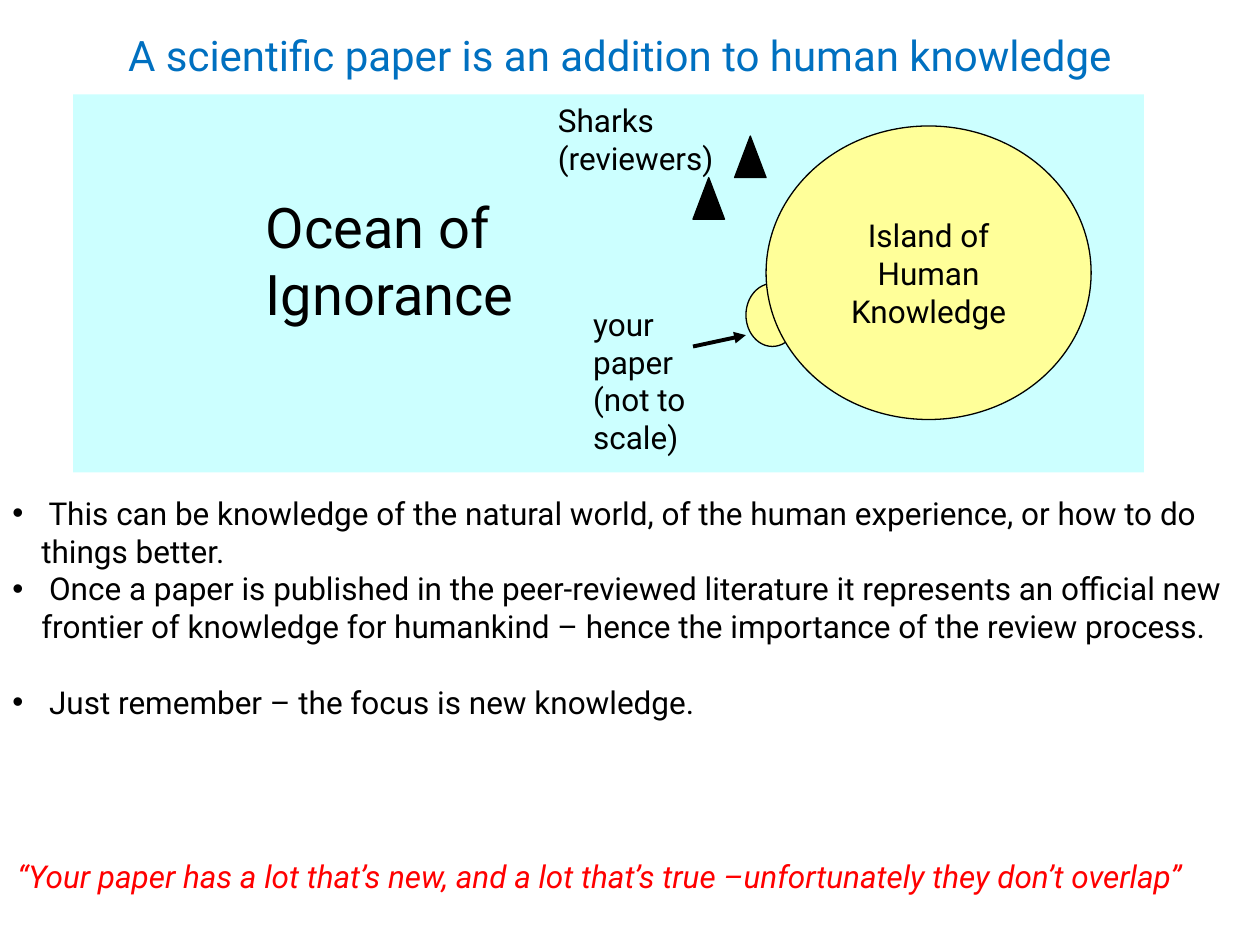
"""Build a slide showing a paper as an addition to the island of human knowledge."""
from lxml import etree
from pptx import Presentation
from pptx.dml.color import RGBColor
from pptx.enum import shapes, text
from pptx.oxml import ns
from pptx.util import Inches, Pt

BLACK = RGBColor(0x00, 0x00, 0x00)
BLUE = RGBColor(0x00, 0x70, 0xC0)
RED = RGBColor(0xFF, 0x00, 0x00)
OCEAN = RGBColor(0xCC, 0xFF, 0xFF)
SAND = RGBColor(0xFF, 0xFF, 0x99)
FONT = "Roboto"
BULLET_INDENT = Inches(0.23)

TITLE = ["A scientific paper is an addition to human knowledge"]
ISLAND = ["Island of", "Human", "Knowledge"]
LABELS = [
    (["Ocean of", "Ignorance"], (2.01, 1.48, 2.19, 1.18), 32, False),
    (["your", "paper", "(not to scale)"], (4.61, 2.37, 1.6, 1.31), 18, True),
    (["Sharks", "(reviewers)"], (4.33, 0.75, 1.45, 0.71), 18, False),
]
POINTS = [
    " This can be knowledge of the natural world, of the human experience, or how to do things better.",
    " Once a paper is published in the peer-reviewed literature it represents an official new "
    "frontier of knowledge for humankind – hence the importance of the review process.",
    " Just remember – the focus is new knowledge.",
]
QUOTE = ["“Your paper has a lot that’s new, and a lot that’s true –unfortunately they don’t overlap”"]
SHARKS = [(5.5, 1.41), (5.83, 1.08)]


def write(shape, lines, size=18, color=BLACK, align=text.PP_ALIGN.LEFT,
          anchor=text.MSO_ANCHOR.TOP, wrap=True, italic=False):
    frame = shape.text_frame
    frame.word_wrap = wrap
    frame.vertical_anchor = anchor
    for index, line in enumerate(lines):
        paragraph = frame.add_paragraph() if index else frame.paragraphs[0]
        paragraph.alignment = align
        run = paragraph.add_run()
        run.text = line
        run.font.name = FONT
        run.font.size = Pt(size)
        run.font.color.rgb = color
        run.font.italic = italic
    return frame


def add_text(slide, box, lines, **style):
    return write(slide.shapes.add_textbox(*map(Inches, box)), lines, **style)


def add_shape(slide, kind, box, fill, outlined=True):
    shape = slide.shapes.add_shape(kind, *map(Inches, box))
    shape.shadow.inherit = False
    shape.fill.solid()
    shape.fill.fore_color.rgb = fill
    if outlined:
        shape.line.color.rgb = BLACK
        shape.line.width = Pt(0.75)
    else:
        shape.line.fill.background()
    return shape


def add_arrow(slide, start, end):
    arrow = slide.shapes.add_connector(
        shapes.MSO_CONNECTOR.STRAIGHT, *map(Inches, start + end))
    arrow.line.color.rgb = BLACK
    arrow.line.width = Pt(2.25)
    etree.SubElement(arrow.line._get_or_add_ln(), ns.qn("a:tailEnd"), type="triangle")
    etree.SubElement(arrow._element.spPr, ns.qn("a:effectLst"))


def add_bullet(paragraph):
    properties = paragraph._p.get_or_add_pPr()
    properties.set("marL", str(BULLET_INDENT))
    properties.set("indent", str(-BULLET_INDENT))
    etree.SubElement(properties, ns.qn("a:buFont"), typeface="Arial")
    etree.SubElement(properties, ns.qn("a:buChar"), char="•")


def main():
    presentation = Presentation()
    presentation.slide_width, presentation.slide_height = Inches(10), Inches(7.5)
    slide = presentation.slides.add_slide(presentation.slide_layouts[6])
    kinds = shapes.MSO_SHAPE
    center, middle = text.PP_ALIGN.CENTER, text.MSO_ANCHOR.MIDDLE

    add_shape(slide, kinds.RECTANGLE, (0.58, 0.75, 8.5, 3), OCEAN, outlined=False)
    add_shape(slide, kinds.OVAL, (5.92, 2.25, 0.42, 0.5), SAND)
    add_text(slide, (0.67, -0.19, 8.5, 1.25), TITLE, size=24, color=BLUE,
             align=center, anchor=middle)
    island = add_shape(slide, kinds.OVAL, (6.08, 1, 2.58, 2.33), SAND)
    write(island, ISLAND, align=center, anchor=middle, wrap=False)
    add_arrow(slide, (5.5, 2.75), (5.92, 2.66))
    for left, top in SHARKS:
        add_shape(slide, kinds.ISOSCELES_TRIANGLE, (left, top, 0.25, 0.33), BLACK)
    for lines, box, size, wrap in LABELS:
        add_text(slide, box, lines, size=size, wrap=wrap)

    points = add_text(slide, (0, 3.87, 10.17, 1.92), POINTS)
    points.paragraphs[-1].space_before = Pt(21.5)
    for paragraph in points.paragraphs:
        add_bullet(paragraph)
    add_text(slide, (0.04, 6.75, 9.74, 0.4), QUOTE, color=RED, wrap=False, italic=True)
    presentation.save("out.pptx")


if __name__ == "__main__":
    main()
